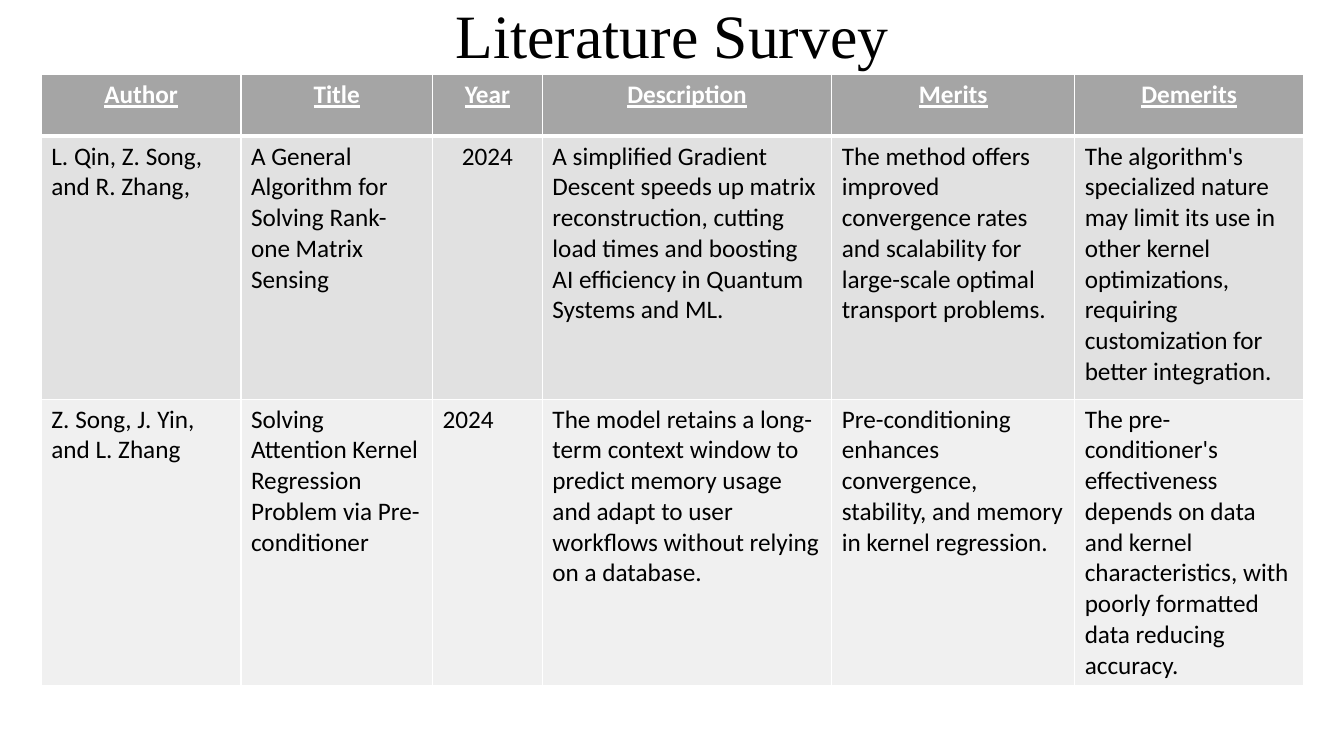
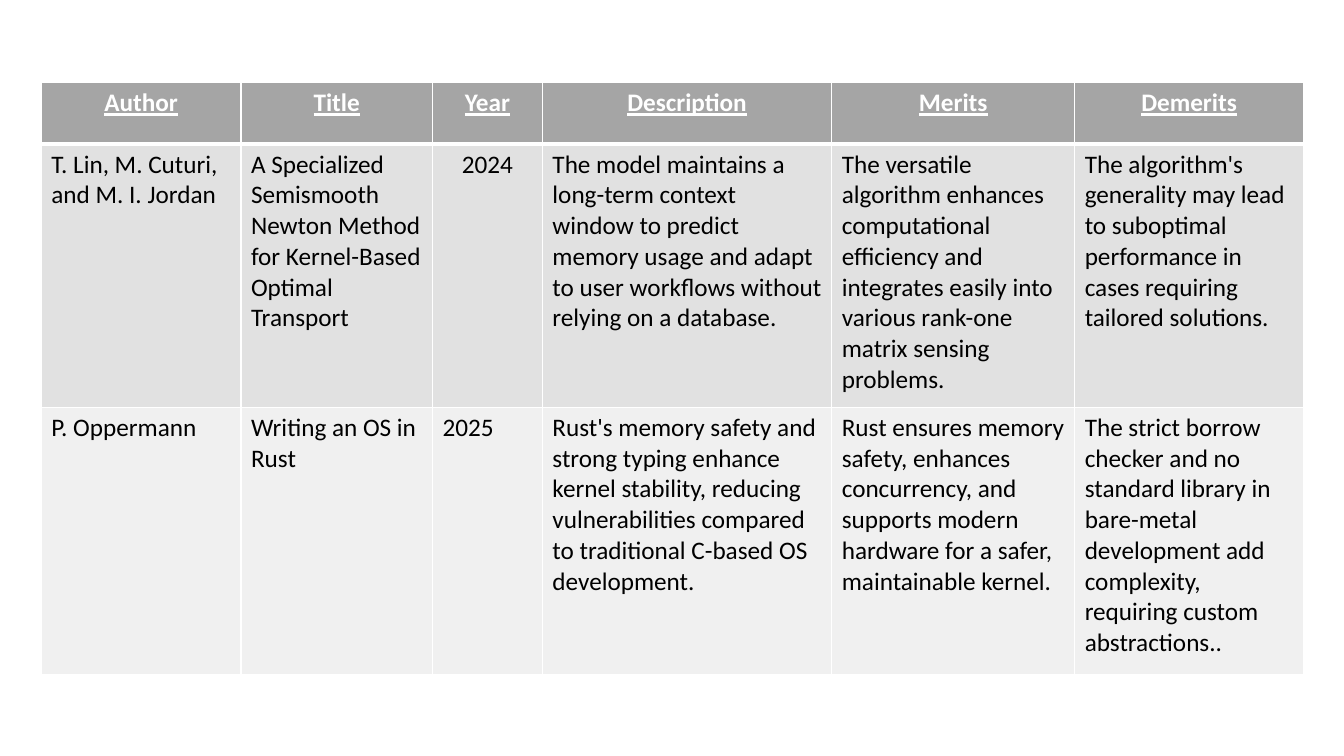
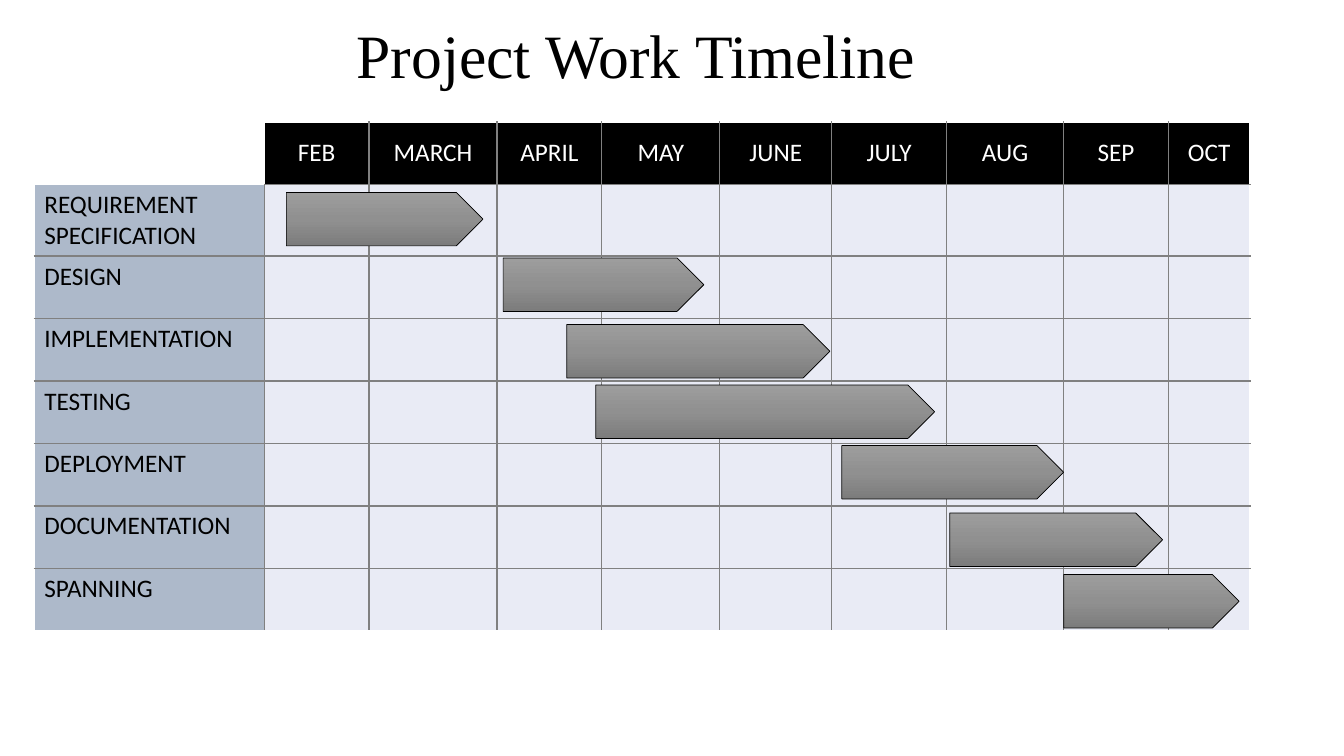
import copy

import pptx
import pptx.dml.color
import pptx.enum.shapes
import pptx.enum.text
import pptx.oxml
import pptx.oxml.ns
import pptx.util

Inches = pptx.util.Inches
Pt = pptx.util.Pt
ALIGN = pptx.enum.text.PP_ALIGN
ANCHOR = pptx.enum.text.MSO_ANCHOR

HEADS = ["Author", "Title", "Year", "Description", "Merits", "Demerits"]
SURVEY = [
    ["L. Qin, Z. Song, and R. Zhang,",
     "A General Algorithm for Solving Rank-one Matrix Sensing",
     "2024",
     "A simplified Gradient Descent speeds up matrix reconstruction, cutting load times "
     "and boosting AI efficiency in Quantum Systems and ML.",
     "The method offers improved convergence rates and scalability for large-scale "
     "optimal transport problems.",
     "The algorithm's specialized nature may limit its use in other kernel "
     "optimizations, requiring customization for better integration."],
    ["Z. Song, J. Yin, and L. Zhang",
     "Solving Attention Kernel Regression Problem via Pre-conditioner",
     "2024",
     "The model retains a long-term context window to predict memory usage and adapt "
     "to user workflows without relying on a database.",
     "Pre-conditioning enhances convergence, stability, and memory in kernel regression.",
     "The pre-conditioner's effectiveness depends on data and kernel characteristics, "
     "with poorly formatted data reducing accuracy."],
]
MORE = [
    ["T. Lin, M. Cuturi, and M. I. Jordan",
     "A Specialized Semismooth Newton Method for Kernel-Based Optimal Transport",
     "2024",
     "The model maintains a long-term context window to predict memory usage and adapt "
     "to user workflows without relying on a database.",
     "The versatile algorithm enhances computational efficiency and integrates easily "
     "into various rank-one matrix sensing problems.",
     "The algorithm's generality may lead to suboptimal performance in cases requiring "
     "tailored solutions."],
    ["P. Oppermann",
     "Writing an OS in Rust",
     "2025",
     "Rust's memory safety and strong typing enhance kernel stability, reducing "
     "vulnerabilities compared to traditional C-based OS development.",
     "Rust ensures memory safety, enhances concurrency, and supports modern hardware "
     "for a safer, maintainable kernel.",
     "The strict borrow checker and no standard library in bare-metal development add "
     "complexity, requiring custom abstractions.."],
]
MONTHS = ["FEB", "MARCH", "APRIL", "MAY", "JUNE", "JULY", "AUG", "SEP", "OCT"]
# phase, then left, top and width of its bar
PHASES = [
    ("REQUIREMENT\nSPECIFICATION", 2.84, 1.91, 1.95),
    ("DESIGN", 4.99, 2.56, 1.99),
    ("IMPLEMENTATION", 5.62, 3.22, 2.61),
    ("TESTING", 5.91, 3.82, 3.36),
    ("DEPLOYMENT", 8.35, 4.42, 2.2),
    ("DOCUMENTATION", 9.42, 5.09, 2.11),
    ("SPANNING", 10.55, 5.7, 1.74),
]


class Deck:
    hues = {
        "black": "000000", "white": "FFFFFF", "line": "808080",
        "head": "A5A5A5", "odd": "E1E1E1", "even": "F0F0F0",
        "phase": "ADB9CA", "grid": "E9EBF5",
        "light": "9D9D9D", "mid": "909090", "dark": "7C7C7C",
    }

    def __init__(self):
        self.prs = pptx.Presentation()
        self.prs.slide_width = Inches(13.33)
        self.prs.slide_height = Inches(7.5)
        self.slide = None

    def rgb(self, hue):
        return pptx.dml.color.RGBColor.from_string(self.hues[hue])

    def start(self, titled=True):
        layout = self.prs.slide_layouts[5 if titled else 6]
        self.slide = self.prs.slides.add_slide(layout)

    def label(self, frame, text, font, size, hue, align, bold=False, line=False):
        """Fill a text frame, one paragraph for each line of the text."""
        for i, part in enumerate(text.split("\n")):
            para = frame.add_paragraph() if i else frame.paragraphs[0]
            para.alignment = align
            run = para.add_run()
            run.text = part
            run.font.name = font
            run.font.size = Pt(size)
            run.font.bold = bold
            run.font.underline = line
            run.font.color.rgb = self.rgb(hue)

    def title(self, text, left, top, height, anchor):
        box = self.slide.shapes.title
        box.left, box.top = Inches(left), Inches(top)
        box.width, box.height = Inches(11.5), Inches(height)
        frame = box.text_frame
        frame.auto_size = pptx.enum.text.MSO_AUTO_SIZE.NONE
        frame.vertical_anchor = anchor
        self.label(frame, text, "Times New Roman", 44, "black", ALIGN.CENTER)
        frame.paragraphs[0].line_spacing = 0.9

    def table(self, left, top, widths, heights):
        shape = self.slide.shapes.add_table(
            len(heights), len(widths), Inches(left), Inches(top),
            Inches(sum(widths)), Inches(sum(heights)))
        table = shape.table
        table.first_row = table.horz_banding = False
        for col, width in zip(table.columns, widths):
            col.width = Inches(width)
        for row, height in zip(table.rows, heights):
            row.height = Inches(height)
        return table

    def edge(self, cell, side, hue, width=1):
        """Rule one side (L, R, T, B, in that order) before the fill is set."""
        cell._tc.get_or_add_tcPr().append(pptx.oxml.parse_xml(
            f'<a:ln{side} {pptx.oxml.ns.nsdecls("a")} w="{Pt(width)}"><a:solidFill>'
            f'<a:srgbClr val="{self.hues[hue]}"/></a:solidFill></a:ln{side}>'))

    def paint(self, cell, hue):
        cell.fill.solid()
        cell.fill.fore_color.rgb = self.rgb(hue)

    def survey(self, top, works, last):
        """Table of works; last is the height of its last row."""
        table = self.table(0.41, top, [1.98, 1.9, 1.09, 2.87, 2.41, 2.27],
                           [0.61, 2.61, last])
        for r, texts in enumerate([HEADS] + works):
            for c, text in enumerate(texts):
                cell = table.cell(r, c)
                for side in "LRTB":
                    thick = (r, side) in [(0, "B"), (1, "T")]
                    self.edge(cell, side, "white", 3 if thick else 1)
                self.paint(cell, ["head", "odd", "even"][r])
                mid = r == 0 or (r == 1 and c == 2)
                self.label(cell.text_frame, text, "Calibri", 18,
                           "black" if r else "white",
                           ALIGN.CENTER if mid else ALIGN.LEFT, r == 0, r == 0)

    def chart(self):
        """Month grid with a row for each phase."""
        widths = [2.28, 1.04, 1.27, 1.04, 1.17, 1.11, 1.14, 1.16, 1.04, 0.81]
        heights = [0.62, 0.71] + [0.62] * 6
        table = self.table(0.34, 1.21, widths, heights)
        end, foot = len(widths) - 1, len(heights) - 1
        for r in range(foot + 1):
            for c in range(end + 1):
                cell = table.cell(r, c)
                blank = r == c == 0
                outer = {"L": c == 0 or (r, c) == (0, 1), "R": c == end or blank,
                         "T": r == 0 or (r, c) == (1, 0), "B": r == foot or blank}
                for side, plain in outer.items():
                    self.edge(cell, side, "white" if plain else "line")
                if blank:
                    cell.fill.background()
                elif r == 0:
                    self.paint(cell, "black")
                    cell.vertical_anchor = ANCHOR.MIDDLE
                    self.label(cell.text_frame, MONTHS[c - 1], "Calibri", 18,
                               "white", ALIGN.CENTER)
                elif c == 0:
                    self.paint(cell, "phase")
                    self.label(cell.text_frame, PHASES[r - 1][0], "Calibri", 18,
                               "black", ALIGN.LEFT)
                else:
                    self.paint(cell, "grid")

    def bar(self, left, top, width):
        shape = self.slide.shapes.add_shape(
            pptx.enum.shapes.MSO_SHAPE.PENTAGON,
            Inches(left), Inches(top), Inches(width), Inches(0.53))
        shape.shadow.inherit = False
        shape.line.color.rgb = self.rgb("black")
        shape.line.width = Pt(0.5)
        fill = shape.fill
        fill.gradient()
        fill.gradient_angle = 270
        stops = shape._element.spPr.find(".//" + pptx.oxml.ns.qn("a:gsLst"))
        stops.insert(1, copy.deepcopy(stops[0]))
        for i, (stop, hue) in enumerate(zip(fill.gradient_stops, ["light", "mid", "dark"])):
            stop.color.rgb = self.rgb(hue)
            stop.position = i / 2


def main():
    deck = Deck()

    deck.start()
    deck.title("Literature Survey", 0.92, 0, 1.43, ANCHOR.TOP)
    deck.survey(0.74, SURVEY, 2.84)

    deck.start(titled=False)
    deck.survey(0.82, MORE, 2.65)

    deck.start()
    deck.title("Project Work Timeline", 0.56, -0.04, 1.25, ANCHOR.MIDDLE)
    deck.chart()
    for _, left, top, width in PHASES:
        deck.bar(left, top, width)

    deck.prs.save("out.pptx")


if __name__ == "__main__":
    main()
